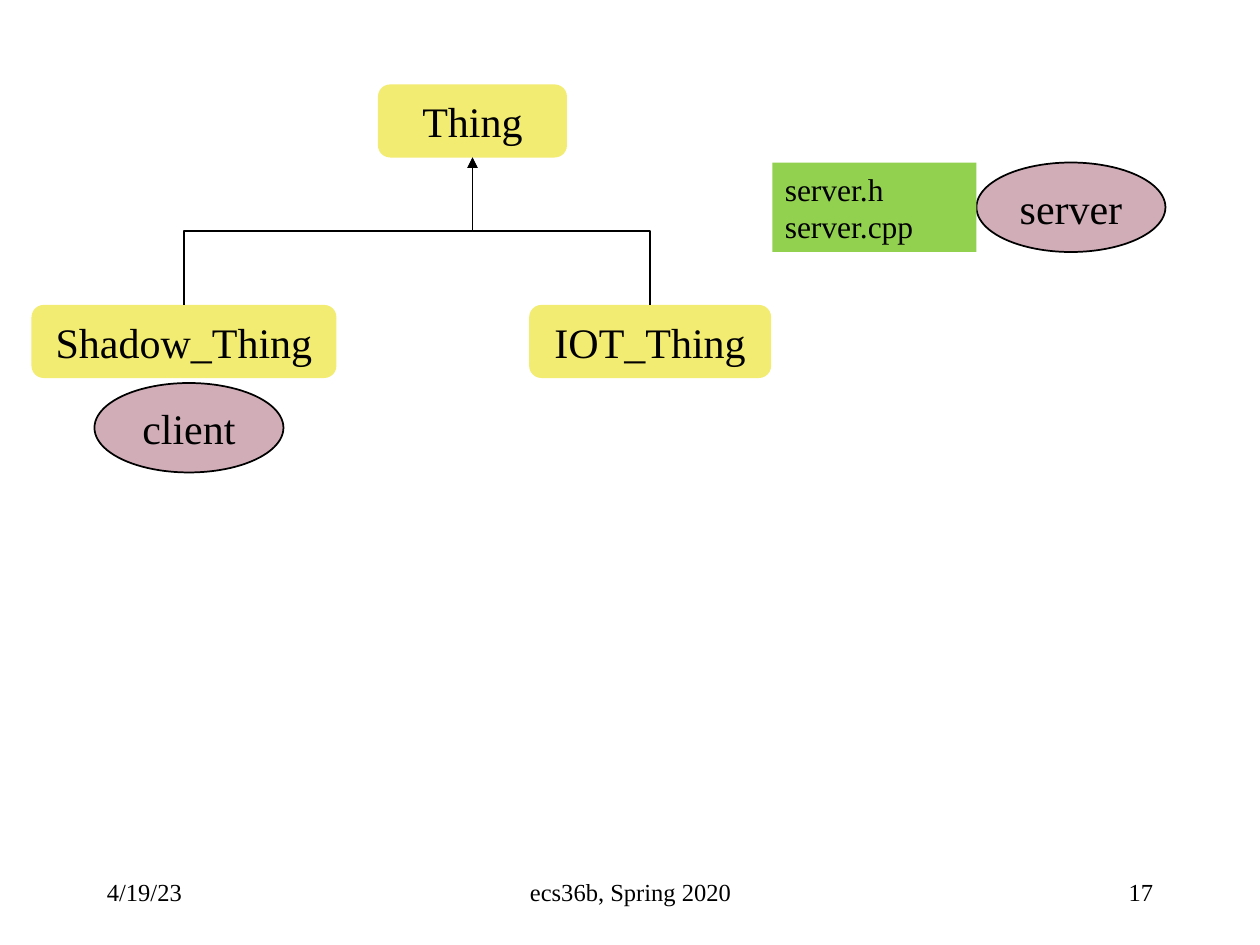
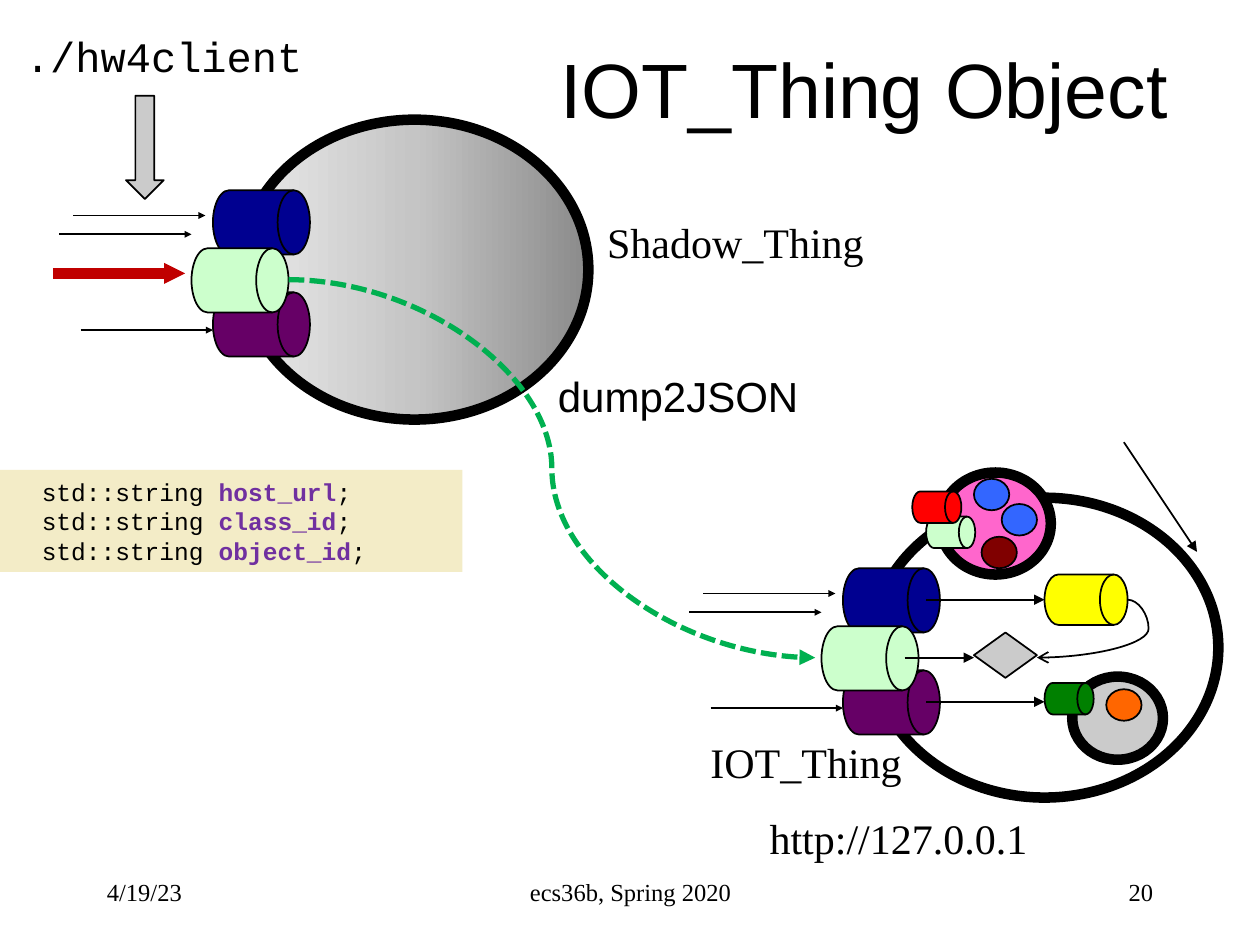
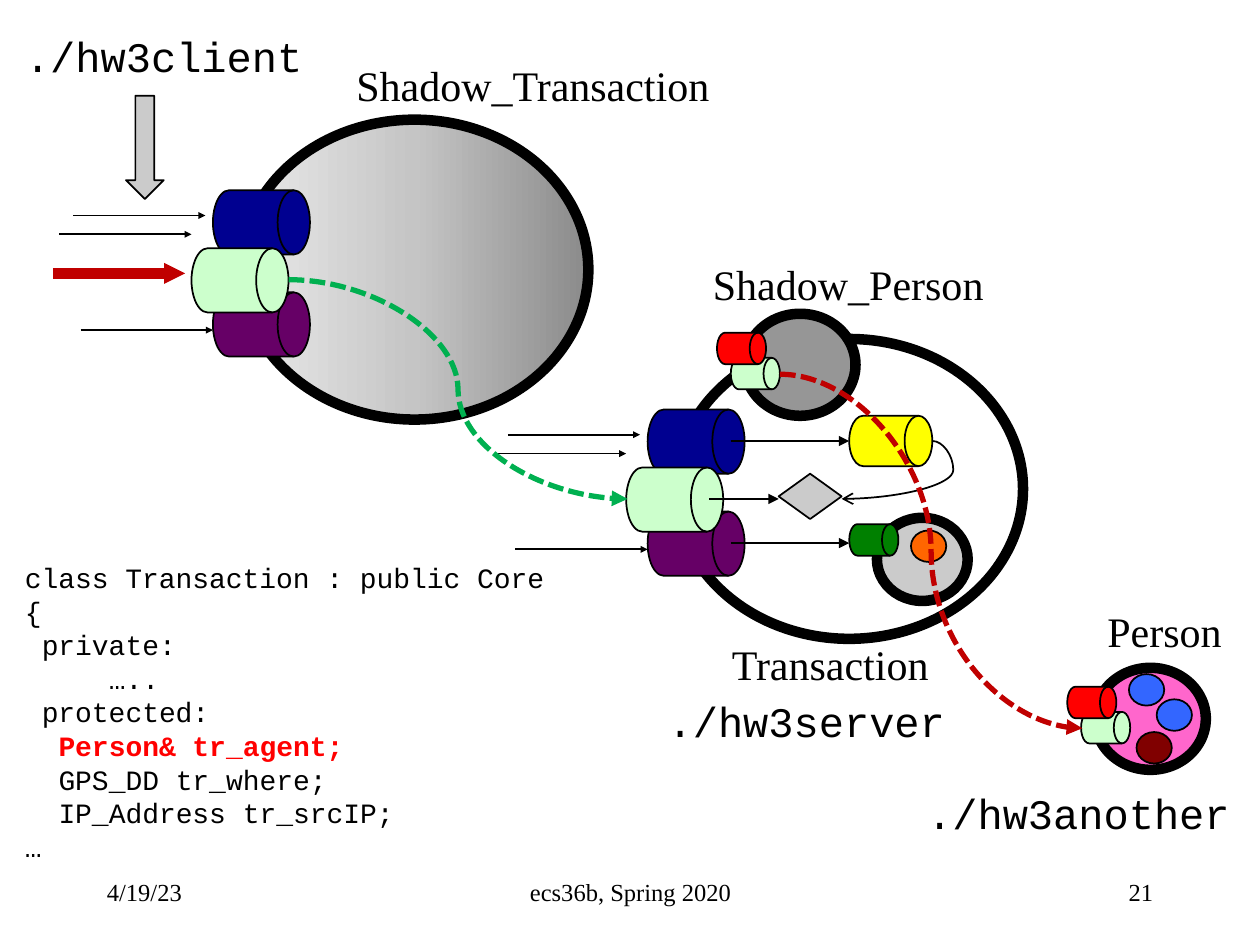
from lxml import etree
from pptx import Presentation
from pptx.dml.color import RGBColor
from pptx.enum.dml import MSO_LINE
from pptx.enum.shapes import MSO_CONNECTOR, MSO_SHAPE
from pptx.enum.text import MSO_ANCHOR, MSO_AUTO_SIZE, PP_ALIGN
from pptx.oxml.ns import qn
from pptx.util import Pt

PX = 9144  # 100 px to the inch
OVAL, DRUM, RECT = MSO_SHAPE.OVAL, MSO_SHAPE.FLOWCHART_DIRECT_ACCESS_STORAGE, MSO_SHAPE.RECTANGLE
ROUND, DIAMOND, DOWN = MSO_SHAPE.ROUNDED_RECTANGLE, MSO_SHAPE.DIAMOND, MSO_SHAPE.DOWN_ARROW
LINE, CURVE, ELBOW = MSO_CONNECTOR.STRAIGHT, MSO_CONNECTOR.CURVE, MSO_CONNECTOR.ELBOW
DASH = MSO_LINE.SQUARE_DOT
LEFT, MID, RIGHT = PP_ALIGN.LEFT, PP_ALIGN.CENTER, PP_ALIGN.RIGHT
MIDDLE, TOP = MSO_ANCHOR.MIDDLE, MSO_ANCHOR.TOP
GROW = MSO_AUTO_SIZE.SHAPE_TO_FIT_TEXT
SERIF, SANS, MONO = "Times New Roman", "Arial", "Courier New"

COLORS = {
    "black": "000000", "sand": "F3EC72", "rose": "D1ADB8", "leaf": "92D050",
    "cream": "F3ECC7", "navy": "000090", "plum": "660066", "mint": "CCFFCC",
    "red": "FF0000", "brick": "C00000", "green": "008000", "jade": "00B050",
    "pink": "FF66CC", "silver": "CBCBCB", "gray": "969696", "orange": "FF6600",
    "blue": "3366FF", "maroon": "800000", "yellow": "FFFF00", "violet": "7030A0",
}
SHADE = [(0, "8B8B8B"), (50, "C5C5C5"), (100, "EAEAEA")]

# Footer: left, width, alignment, text (the number comes per slide)
FOOT = [(75, 208, LEFT, "4/19/23"), (342, 317, MID, "ecs36b, Spring 2020"), (717, 208, RIGHT, None)]

# Class tree: kind, box, fill, text, size, alignment
TREE = [
    (ROUND, (300, 67, 150, 58), "sand", ["Thing"], 24, MID),
    (ROUND, (25, 242, 242, 58), "sand", ["Shadow_Thing"], 24, MID),
    (ROUND, (420, 242, 192, 58), "sand", ["IOT_Thing"], 24, MID),
    (OVAL, (775, 129, 150, 71), "rose", ["server"], 24, MID),
    (RECT, (613, 129, 162, 71), "leaf", ["server.h", "server.cpp"], 18, LEFT),
    (OVAL, (75, 304, 150, 71), "rose", ["client"], 24, MID),
]
ROOT, KIDS = (375, 125), [(146, 242), (516, 242)]

# Parts of an object, measured from the corner of its big oval
BODY = (276, 238)
PORTS = [(-22, 56, "navy"), (-22, 137, "plum"), (-39, 102, "mint")]
CALLS = [(-133, 76), (-144, 91), (-127, 167)]
CALL, HOT = 105, (-149, 122)
INNER = [(44, 81, 94), (27, 127, 55), (44, 162, 94)]
PARTS = [
    (OVAL, (160, 142, 72, 66), "silver", 6),
    (DRUM, (138, 147, 39, 25), "green", 1),
    (OVAL, (187, 152, 28, 25), "orange", 1),
    (DIAMOND, (82, 107, 50, 36), "silver", 1),
    (DRUM, (138, 61, 66, 40), "yellow", 1),
]
LOOP = (204, 81), (132, 127)
AGENT = (55, -20)
PLUGS = [(-11, 35, "mint"), (-22, 15, "red")]
DOTS = [(27, 5, "blue"), (49, 25, "blue"), (33, 51, "maroon")]

CLIENT = (191, 95)
THING, DEAL, PERSON = (691, 395), (536, 269), (869, 530)

# Labels: left, top, width, text, font
THING_TEXT = [
    (10, 19, 242, "./hw4client", MONO),
    (601, 640, 227, "http://127.0.0.1", SERIF),
    (554, 580, 173, "IOT_Thing", SERIF),
    (472, 167, 226, "Shadow_Thing", SERIF),
    (433, 289, 213, "dump2JSON", SANS),
]
DEAL_TEXT = [
    (10, 19, 242, "./hw3client", MONO),
    (571, 502, 178, "Transaction", SERIF),
    (273, 42, 303, "Shadow_Transaction", SERIF),
    (556, 200, 237, "Shadow_Person", SERIF),
    (869, 476, 112, "Person", SERIF),
    (520, 547, 242, "./hw3server", MONO),
    (726, 620, 262, "./hw3another", MONO),
]

# Code lines: indent in characters, then (text, colour) runs; coloured runs are bold
FIELDS = [(2, [("std::string ", None), (name, "violet"), (";", None)])
          for name in ("host_url", "class_id", "object_id")]
CLASS = [
    (0, [("class Transaction : public Core", None)]),
    (0, [("{", None)]),
    (1, [("private:", None)]),
    (5, [("…..", None)]),
    (1, [("protected:", None)]),
    (2, [("Person& tr_agent;", "red")]),
    (2, [("GPS_DD tr_where;", None)]),
    (2, [("IP_Address tr_srcIP;", None)]),
    (0, [("…", None)]),
]


def px(*nums):
    return [round(n * PX) for n in nums]


def rgb(name):
    return RGBColor.from_string(COLORS[name])


def move(at, x, y):
    return at[0] + x, at[1] + y


def shade(item):
    """Fill a shape with the three-stop gradient, dark on the right."""
    item.fill.gradient()
    item.fill.gradient_angle = 180
    stops = item._element.spPr.find(qn("a:gradFill")).find(qn("a:gsLst"))
    for old in list(stops):
        stops.remove(old)
    for pos, color in SHADE:
        stop = etree.SubElement(stops, qn("a:gs"), pos=str(pos * 1000))
        etree.SubElement(stop, qn("a:srgbClr"), val=color)


def shape(slide, kind, box, fill=None, line=1):
    item = slide.shapes.add_shape(kind, *px(*box))
    item.shadow.inherit = False
    if fill == "shade":
        shade(item)
    elif fill:
        item.fill.solid()
        item.fill.fore_color.rgb = rgb(fill)
    else:
        item.fill.background()
    if line:
        item.line.color.rgb = rgb("black")
        item.line.width = Pt(line)
    else:
        item.line.fill.background()
    return item


def link(slide, kind, start, end, color="black", width=1, head="triangle", size="med",
         dash=None, bend=None):
    item = slide.shapes.add_connector(kind, *px(*start, *end))
    item.line.color.rgb = rgb(color)
    item.line.width = Pt(width)
    if dash:
        item.line.dash_style = dash
    props = item._element.spPr
    etree.SubElement(item.line._ln, qn("a:tailEnd"), type=head, w=size, len=size)
    etree.SubElement(props, qn("a:effectLst"))
    if bend is not None:
        geom = props.find(qn("a:prstGeom"))
        guides = geom.find(qn("a:avLst"))
        if guides is None:
            guides = etree.SubElement(geom, qn("a:avLst"))
        etree.SubElement(guides, qn("a:gd"), name="adj1", fmla=f"val {bend}")
    return item


def rise(slide, start, end):
    """Elbow that leaves upwards: lay it flat, then turn it by 270 degrees."""
    wide, high = start[1] - end[1], abs(end[0] - start[0])
    left = (start[0] + end[0] - wide) / 2
    top = (start[1] + end[1] - high) / 2
    ends = [top, top + high]
    if start[0] > end[0]:
        ends.reverse()
    item = link(slide, ELBOW, (left, ends[0]), (left + wide, ends[1]))
    item._element.spPr.find(qn("a:xfrm")).set("rot", str(270 * 60000))


def write(item, lines, size, font=SERIF, align=LEFT, anchor=MIDDLE, wrap=True):
    frame = item.text_frame
    frame.word_wrap = wrap
    frame.vertical_anchor = anchor
    for num, line in enumerate(lines):
        cells, runs = (0, [(line, None)]) if isinstance(line, str) else line
        para = frame.paragraphs[0] if num == 0 else frame.add_paragraph()
        para.alignment = align
        para.font.name, para.font.size = font, Pt(size)
        para.font.color.rgb = rgb("black")
        if cells:
            para._p.get_or_add_pPr().set("marL", str(Pt(cells * size * 0.6)))
        for text, color in runs:
            run = para.add_run()
            run.text = text
            if color:
                run.font.bold = True
                run.font.color.rgb = rgb(color)


def text(slide, box, lines, size, **look):
    item = slide.shapes.add_textbox(*px(*box))
    write(item, lines, size, **look)
    return item


def labels(slide, rows):
    for x, y, wide, words, font in rows:
        item = text(slide, (x, y, wide, 50), [words], 24, font=font, anchor=TOP, wrap=False)
        item.text_frame.auto_size = GROW


def shell(slide, at, fill=None):
    """Big oval with its three ports and the calls that reach them."""
    shape(slide, OVAL, (*at, *BODY), fill, 6)
    for x, y, color in PORTS:
        shape(slide, DRUM, (*move(at, x, y), 77, 51), color)
    for x, y in CALLS:
        link(slide, LINE, move(at, x, y), move(at, x + CALL, y), size="sm")


def agent(slide, at, fill, dots=True):
    shape(slide, OVAL, (*at, 88, 81), fill, 6)
    for x, y, color in PLUGS:
        shape(slide, DRUM, (*move(at, x, y), 39, 25), color)
    for x, y, color in DOTS if dots else []:
        shape(slide, OVAL, (*move(at, x, y), 28, 25), color)


def core(slide, at, fill, dots):
    """Object with its inner parts and its agent."""
    shell(slide, at)
    for x, y, wide in INNER:
        link(slide, LINE, move(at, x, y), move(at, x + wide, y))
    agent(slide, move(at, *AGENT), fill, dots)
    for kind, (x, y, wide, high), color, line in PARTS:
        shape(slide, kind, (*move(at, x, y), wide, high), color, line)
    start, end = LOOP
    link(slide, CURVE, move(at, *start), move(at, *end), head="arrow", bend=-23100)


def client(slide, goal):
    """Shadow object whose middle port calls the goal."""
    shell(slide, CLIENT, "shade")
    hot = move(CLIENT, *HOT)
    link(slide, LINE, hot, move(hot, CALL, 0), "brick", 6, size="sm")
    shape(slide, DOWN, (100, 76, 30, 82), "silver")
    link(slide, CURVE, move(CLIENT, 38, 127), goal, "jade", 3, dash=DASH)


def page(deck, num):
    slide = deck.slides.add_slide(deck.slide_layouts[6])
    for x, wide, align, words in FOOT:
        text(slide, (x, 683, wide, 50), [words or str(num)], 14, align=align)
    return slide


def tree(deck):
    slide = page(deck, 17)
    for kind, box, fill, words, size, align in TREE:
        item = shape(slide, kind, box, fill, 1 if kind == OVAL else 0)
        write(item, words, size, align=align)
    for kid in KIDS:
        rise(slide, kid, ROOT)


def thing(deck):
    slide = page(deck, 20)
    text(slide, (340, 7, 692, 125), ["IOT_Thing Object"], 44, font=SANS, align=MID)
    core(slide, THING, "pink", True)
    client(slide, (647, 522))
    labels(slide, THING_TEXT)
    link(slide, LINE, (892, 351), (950, 438))
    write(shape(slide, RECT, (0, 373, 367, 81), "cream", 0), FIELDS, 14, font=MONO)


def deal(deck):
    slide = page(deck, 21)
    core(slide, DEAL, "gray", False)
    client(slide, (498, 396))
    agent(slide, PERSON, "pink")
    link(slide, CURVE, (619, 297), (859, 578), "brick", 3, dash=DASH)
    labels(slide, DEAL_TEXT)
    text(slide, (10, 440, 664, 252), CLASS, 16, font=MONO, anchor=TOP)


def main():
    deck = Presentation()
    deck.slide_width, deck.slide_height = px(1000, 750)
    tree(deck)
    thing(deck)
    deal(deck)
    deck.save("out.pptx")


if __name__ == "__main__":
    main()
